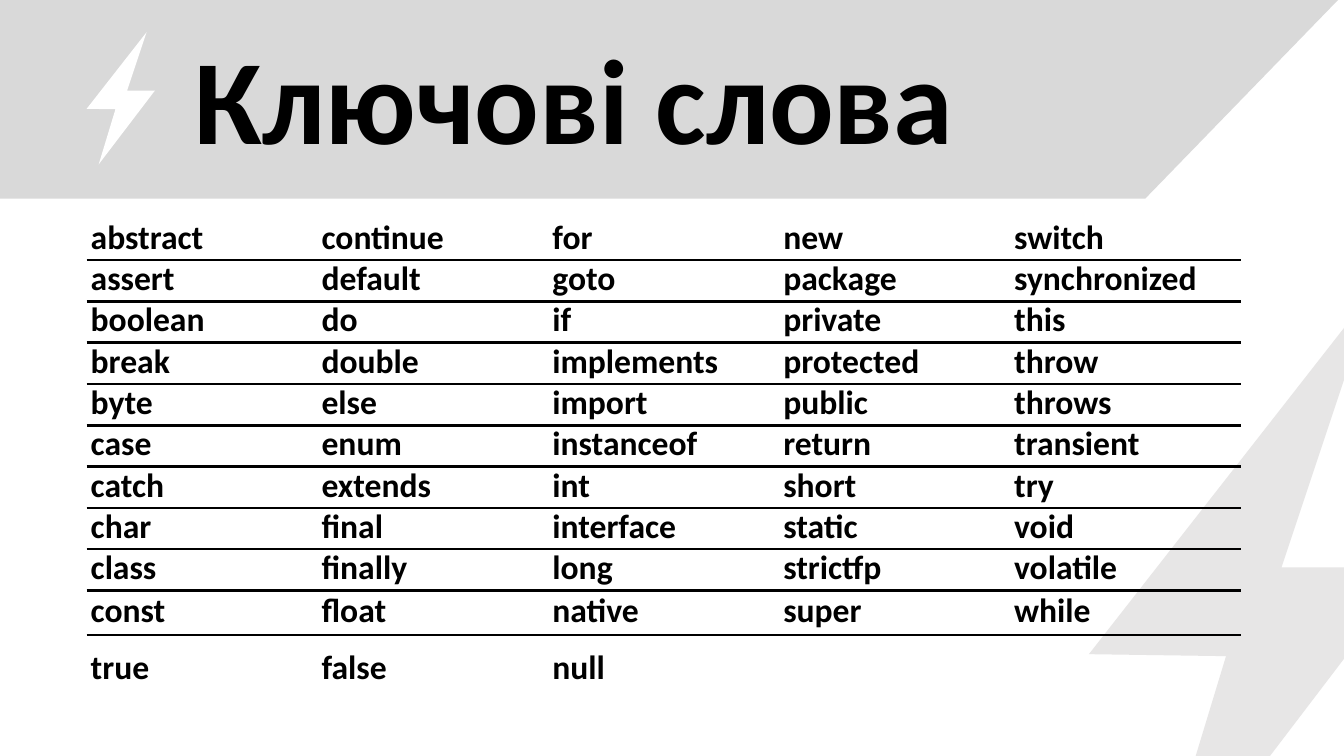
from pptx import Presentation
from pptx.dml.color import RGBColor
from pptx.enum.text import MSO_ANCHOR, MSO_AUTO_SIZE, PP_ALIGN
from pptx.oxml import parse_xml
from pptx.oxml.ns import nsdecls, qn
from pptx.util import Inches, Pt

MIDDLE = MSO_ANCHOR.MIDDLE
LEFT = PP_ALIGN.LEFT
NO_AUTOFIT = MSO_AUTO_SIZE.NONE
TITLE_ONLY = 5
FONT = "Calibri"
BLACK, WHITE = "000000", "FFFFFF"
BAND_GREY, BOLT_GREY = "D9D9D9", "E7E6E6"
PLAIN_TABLE_STYLE = "{2D5ABB26-0587-4C30-8999-92F81FD0307C}"

BAND = [(0, 1.97), (11.36, 1.97), (13.31, -0.04), (-0.02, -0.04)]
BOLT = [(2.83, 0), (0, 3.62), (1.36, 3.64), (0.57, 6.24), (3.22, 2.76), (1.91, 2.76)]

KEYWORDS = [
    "abstract continue for new switch",
    "assert default goto package synchronized",
    "boolean do if private this",
    "break double implements protected throw",
    "byte else import public throws",
    "case enum instanceof return transient",
    "catch extends int short try",
    "char final interface static void",
    "class finally long strictfp volatile",
    "const float native super while",
    "true false null",
]
COLUMN_WIDTH = 2.29
ROW_HEIGHTS = [0.41] * 9 + [0.44, 0.68]


def rgb(value):
    return RGBColor.from_string(value)


def format_text(frame, size):
    paragraph = frame.paragraphs[0]
    paragraph.alignment = LEFT
    paragraph.line_spacing = 0.8
    for run in paragraph.runs:
        run.font.name = FONT
        run.font.size = Pt(size)
        run.font.bold = True
        run.font.color.rgb = rgb(BLACK)


def add_outline(slide, points, color):
    corners = [(Inches(x), Inches(y)) for x, y in points]
    builder = slide.shapes.build_freeform(*corners[0])
    builder.add_line_segments(corners[1:], close=True)
    outline = builder.convert_to_shape()
    outline.fill.solid()
    outline.fill.fore_color.rgb = rgb(color)
    outline.line.fill.background()
    outline.shadow.inherit = False


def add_bolt(slide, left, top, scale, color):
    add_outline(slide, [(left + x * scale, top + y * scale) for x, y in BOLT], color)


def add_rule(cell, side):
    rule = parse_xml(
        f'<a:{side} {nsdecls("a")} w="{Pt(2)}"><a:solidFill>'
        f'<a:srgbClr val="{BLACK}"/></a:solidFill></a:{side}>')
    cell._tc.get_or_add_tcPr().insert(0, rule)


def add_keyword_table(slide):
    columns = len(KEYWORDS[0].split())
    last = len(KEYWORDS) - 1
    table = slide.shapes.add_table(
        len(KEYWORDS), columns, Inches(0.86), Inches(2.17),
        Inches(COLUMN_WIDTH * columns), Inches(sum(ROW_HEIGHTS))).table
    table._tbl.tblPr.find(qn("a:tableStyleId")).text = PLAIN_TABLE_STYLE
    table.first_row = table.horz_banding = False
    for column in table.columns:
        column.width = Inches(COLUMN_WIDTH)

    for index, (line, height) in enumerate(zip(KEYWORDS, ROW_HEIGHTS)):
        row = table.rows[index]
        row.height = Inches(height)
        for cell in row.cells:
            cell.fill.background()
            cell.vertical_anchor = MIDDLE
            cell.margin_left = cell.margin_right = Inches(0.04)
            cell.margin_top = cell.margin_bottom = Inches(0.04)
            # Rules run only between rows
            if index < last:
                add_rule(cell, "lnB")
            if index > 0:
                add_rule(cell, "lnT")
        for cell, keyword in zip(row.cells, line.split()):
            cell.text_frame.text = keyword
            format_text(cell.text_frame, 24)


def place_title(slide, text):
    title = slide.shapes.title
    title.left, title.top = Inches(1.93), Inches(0.48)
    title.width, title.height = Inches(8.74), Inches(1.21)
    frame = title.text_frame
    frame.text = text
    frame.word_wrap = True
    frame.auto_size = NO_AUTOFIT
    frame.vertical_anchor = MIDDLE
    frame.margin_left = frame.margin_right = 0
    frame.margin_top = frame.margin_bottom = 0
    format_text(frame, 86)
    # Bring the title in front of the band
    slide.shapes._spTree.append(title._element)


def main():
    deck = Presentation()
    deck.slide_width, deck.slide_height = Inches(13.33), Inches(7.5)
    slide = deck.slides.add_slide(deck.slide_layouts[TITLE_ONLY])

    # Background decoration
    add_bolt(slide, 10.8, 2.87, 1, BOLT_GREY)
    add_outline(slide, BAND, BAND_GREY)

    # Keywords
    add_keyword_table(slide)

    # Heading
    add_bolt(slide, 0.86, 0.32, 0.21, WHITE)
    place_title(slide, "Ключові слова")

    deck.save("out.pptx")


if __name__ == "__main__":
    main()
